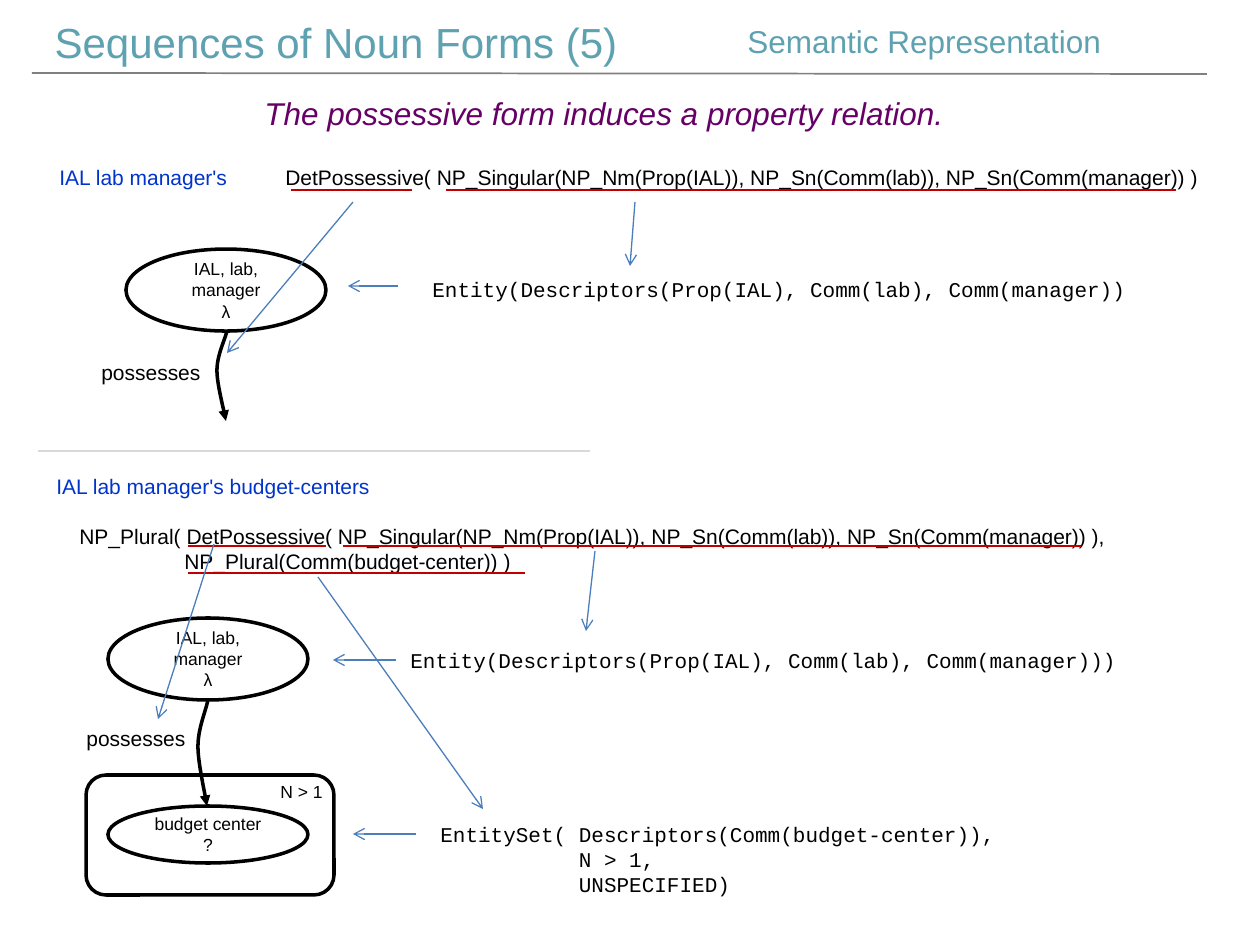
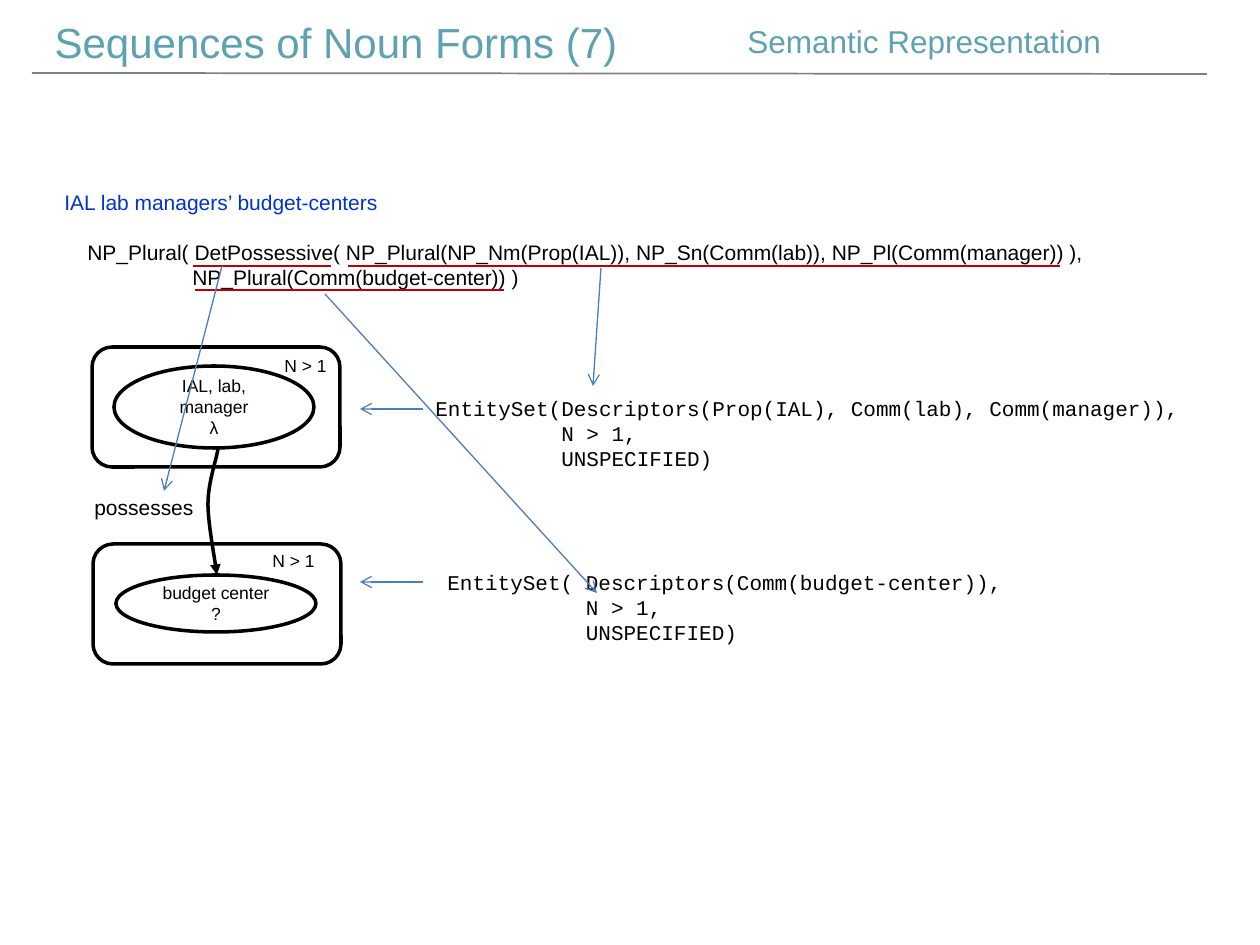
import lxml.etree
import pptx
import pptx.dml.color
import pptx.enum.shapes
import pptx.enum.text
import pptx.oxml.ns
import pptx.util

RGB = pptx.dml.color.RGBColor
TEAL = RGB(0x5E, 0xA1, 0xB0)
GRAY = RGB(0x80, 0x80, 0x80)
LIGHT = RGB(0xD9, 0xD9, 0xD9)
BLUE = RGB(0x00, 0x33, 0xCC)
STEEL = RGB(0x4B, 0x7E, 0xBC)
RED = RGB(0xC0, 0x00, 0x00)
PURPLE = RGB(0x66, 0x00, 0x66)
BLACK = RGB(0x00, 0x00, 0x00)
CODE = "Courier New"
OVAL = pptx.enum.shapes.MSO_SHAPE.OVAL
ROUNDED = pptx.enum.shapes.MSO_SHAPE.ROUNDED_RECTANGLE
CENTER = pptx.enum.text.PP_ALIGN.CENTER
LEFT = pptx.enum.text.PP_ALIGN.LEFT
STRAIGHT = pptx.enum.shapes.MSO_CONNECTOR.STRAIGHT
qn = pptx.oxml.ns.qn

NODE_WIDTH = 200
SINGLE = "N > 1"
BUDGET_SET = ("EntitySet( Descriptors(Comm(budget-center)),\n"
              "           N > 1,\n           UNSPECIFIED)")


def emu(px):
    return round(px * 914400 / 126)


def write(tf, text, size=12, color=BLACK, font="Arial", italic=False,
          align=LEFT, indent=0, before=0, tab=0, join=False):
    for line in text.split("\n"):
        p = tf.paragraphs[-1]
        if p.runs and not join:
            p = tf.add_paragraph()
        if not join:
            p.alignment = align
            p.space_before = pptx.util.Pt(before)
            pPr = p._p.get_or_add_pPr()
            if indent:
                pPr.set("marL", str(emu(indent)))
                pPr.set("indent", "0")
            if tab:
                tabs = lxml.etree.SubElement(pPr, qn("a:tabLst"))
                lxml.etree.SubElement(tabs, qn("a:tab"), pos=str(emu(tab)), algn="l")
        r = p.add_run()
        r.text = line
        r.font.name = font
        r.font.size = pptx.util.Pt(size)
        r.font.color.rgb = color
        r.font.italic = italic


class Deck:
    def __init__(self):
        self.prs = pptx.Presentation()
        self.prs.slide_width = emu(1260)
        self.prs.slide_height = emu(945)

    def slide(self, title):
        self.s = self.prs.slides.add_slide(self.prs.slide_layouts[5])
        sp = self.s.shapes.title
        sp.left, sp.top, sp.width, sp.height = map(emu, (42, 10, 606, 63))
        tf = sp.text_frame
        tf.word_wrap = False
        tf.auto_size = pptx.enum.text.MSO_AUTO_SIZE.NONE
        tf.vertical_anchor = pptx.enum.text.MSO_ANCHOR.TOP
        write(tf, title, size=24, color=TEAL)
        self.line(32, 73, 1207, 74, GRAY, 1)
        self.text(735, 16, 388, 50, "Semantic Representation", size=18, color=TEAL)

    def text(self, x, y, w, h, text, wrap=True, **fmt):
        tf = self.s.shapes.add_textbox(*map(emu, (x, y, w, h))).text_frame
        tf.word_wrap = wrap
        write(tf, text, **fmt)
        return tf

    def label(self, x, y, w, h, text, **fmt):
        self.text(x, y, w, h, text, wrap=False, **fmt)

    def stroke(self, sp, color, width, tail=None):
        sp.line.color.rgb = color
        sp.line.width = pptx.util.Pt(width)
        spPr = sp._element.spPr
        if tail:
            lxml.etree.SubElement(spPr.get_or_add_ln(), qn("a:tailEnd"), type=tail)
        lxml.etree.SubElement(spPr, qn("a:effectLst"))

    def line(self, x1, y1, x2, y2, color=RED, width=0.75, tail=None):
        sp = self.s.shapes.add_connector(STRAIGHT, *map(emu, (x1, y1, x2, y2)))
        self.stroke(sp, color, width, tail)

    def underlines(self, y, *spans):
        for x1, x2 in spans:
            self.line(x1, y, x2, y)

    def arrows(self, *ends):
        for end in ends:
            self.line(*end, color=STEEL, tail="arrow")

    def shape(self, kind, x, y, w, h, text=""):
        sp = self.s.shapes.add_shape(kind, *map(emu, (x, y, w, h)))
        sp.fill.background()
        self.stroke(sp, BLACK, 2)
        if text:
            sp.text_frame.vertical_anchor = pptx.enum.text.MSO_ANCHOR.MIDDLE
            write(sp.text_frame, text, size=10, align=CENTER)

    def manager(self, x, y):
        self.shape(OVAL, x, y, NODE_WIDTH, 82, "IAL, lab, manager\nλ")

    def budget(self, x, y):
        self.shape(OVAL, x, y, NODE_WIDTH, 57, "budget center\n?")

    def plural_frame(self, x, y, label_x, label_y):
        self.shape(ROUNDED, x, y, 248, 120)
        self.label(label_x, label_y, 68, 34, SINGLE, size=10)

    def possesses(self, x, y, height, label_x, label_y):
        controls = [(0, 0), (-2, 0.1), (-10, 0.27), (-10, 0.44),
                    (-10, 0.6), (-2, 0.92), (-1, 1)]
        points = []
        for start in (0, 3):
            a, b, c, d = controls[start:start + 4]
            for step in range(13):
                t = step / 12
                weights = ((1 - t) ** 3, 3 * t * (1 - t) ** 2, 3 * t * t * (1 - t), t ** 3)
                dx, dy = (sum(k * v for k, v in zip(weights, axis))
                          for axis in zip(a, b, c, d))
                points.append((emu(x + dx), emu(y + dy * height)))
        builder = self.s.shapes.build_freeform(*points[0])
        builder.add_line_segments(points[1:], close=False)
        sp = builder.convert_to_shape()
        sp.fill.background()
        self.stroke(sp, BLACK, 2, "triangle")
        self.label(label_x, label_y, 125, 38, "possesses")

    def phrase(self, x, y, heading, form):
        tf = self.text(x, y, 1135, 115, heading, color=BLUE)
        write(tf, form, indent=23, before=14.3)
        write(tf, "NP_Plural(Comm(budget-center)) )", indent=128)


def possessive_singular(d):
    d.slide("Sequences of Noun Forms (5)")
    d.label(252, 88, 711, 50, "The possessive form induces a property relation.",
            size=18, color=PURPLE, italic=True)

    tf = d.text(47, 158, 1213, 38, "IAL lab manager's\t", color=BLUE, tab=226)
    write(tf, "DetPossessive( NP_Singular(NP_Nm(Prop(IAL)), "
              "NP_Sn(Comm(lab)), NP_Sn(Comm(manager)) )", join=True)
    d.underlines(190, (291, 412), (446, 1176))
    d.manager(126, 249)
    d.possesses(227, 331, 90, 89, 353)
    d.label(420, 270, 730, 38,
            "Entity(Descriptors(Prop(IAL), Comm(lab), Comm(manager))", font=CODE)
    d.arrows((635, 202, 630, 266), (398, 286, 348, 286), (353, 202, 227, 353))

    d.line(38, 451, 590, 451, LIGHT, 1)

    d.phrase(44, 467, "IAL lab manager's budget-centers",
             "NP_Plural( DetPossessive( NP_Singular(NP_Nm(Prop(IAL)), "
             "NP_Sn(Comm(lab)), NP_Sn(Comm(manager)) ),")
    d.underlines(546, (188, 326), (343, 1081))
    d.underlines(573, (188, 525))
    d.manager(108, 618)
    d.possesses(208, 700, 106, 74, 719)
    d.budget(108, 806)
    d.plural_frame(86, 775, 268, 775)
    d.label(398, 641, 743, 38,
            "Entity(Descriptors(Prop(IAL), Comm(lab), Comm(manager)))", font=CODE)
    d.label(428, 815, 590, 90, BUDGET_SET, font=CODE)
    d.arrows((595, 551, 586, 631), (318, 577, 483, 809), (396, 660, 333, 660),
             (214, 544, 158, 719), (416, 834, 353, 834))


def possessive_plural(d):
    d.slide("Sequences of Noun Forms (7)")
    d.phrase(52, 183, "IAL lab managers’ budget-centers",
             "NP_Plural( DetPossessive( NP_Plural(NP_Nm(Prop(IAL)), "
             "NP_Sn(Comm(lab)), NP_Pl(Comm(manager)) ),")
    d.underlines(266, (193, 331), (348, 1060))
    d.underlines(290, (195, 504))
    d.manager(114, 366)
    d.plural_frame(92, 347, 272, 349)
    d.possesses(218, 449, 126, 82, 488)
    d.budget(116, 575)
    d.plural_frame(93, 544, 260, 544)
    d.label(423, 389, 781, 90,
            "EntitySet(Descriptors(Prop(IAL), Comm(lab), Comm(manager)),\n"
            "          N > 1,\n          UNSPECIFIED)", font=CODE)
    d.label(435, 563, 590, 90, BUDGET_SET, font=CODE)
    d.arrows((601, 268, 593, 386), (325, 294, 597, 593), (423, 409, 360, 409),
             (222, 266, 164, 491), (423, 582, 360, 582))


def main():
    d = Deck()
    possessive_singular(d)
    possessive_plural(d)
    d.prs.save("out.pptx")


if __name__ == "__main__":
    main()
